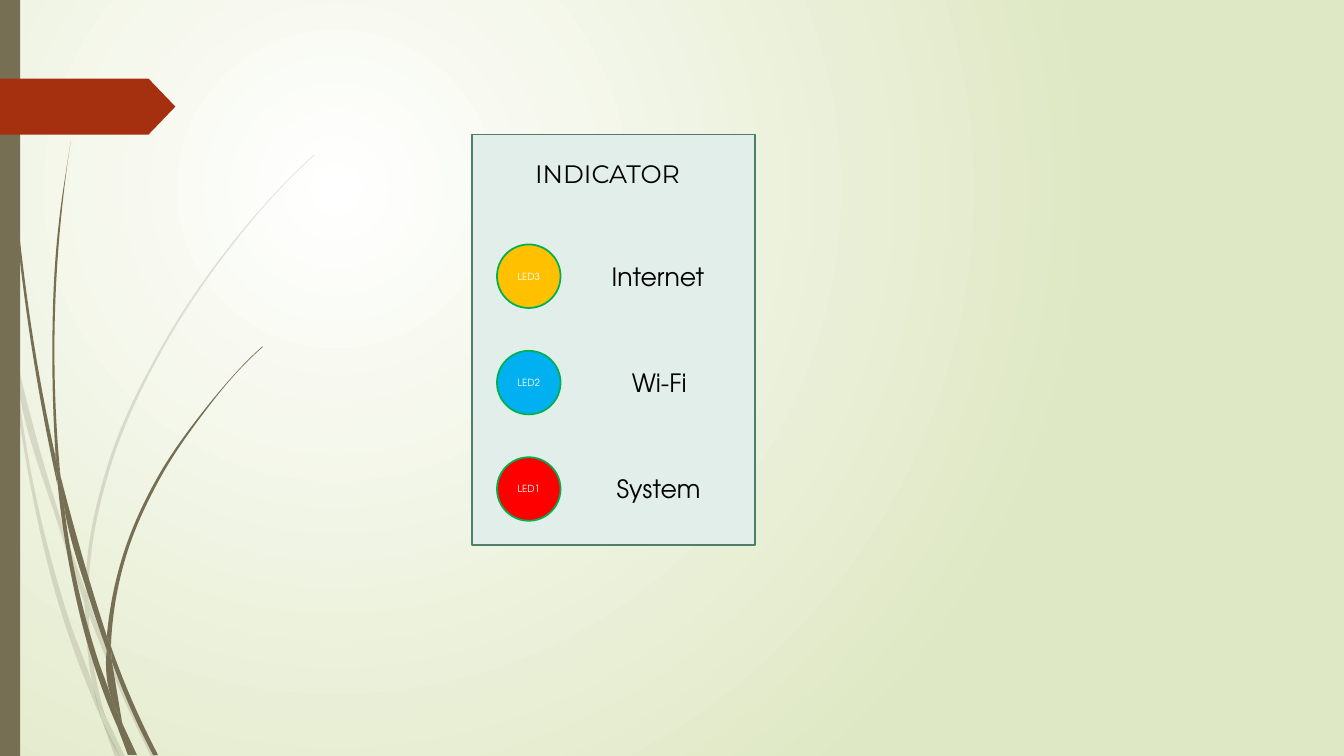
from dataclasses import dataclass
from typing import NamedTuple

from lxml import etree
from pptx import Presentation
from pptx.dml.color import RGBColor
from pptx.enum.shapes import MSO_SHAPE
from pptx.enum.text import MSO_ANCHOR, MSO_AUTO_SIZE, PP_ALIGN
from pptx.oxml.ns import qn
from pptx.util import Pt

Point = tuple[float, float]
Box = tuple[float, float, float, float]


@dataclass(frozen=True)
class Theme:
    glow: str = "FFFFFF"
    backdrop: str = "DFE8C4"
    stem: str = "766F54"
    tag: str = "A53010"
    panel: str = "E1EEE9"
    panel_edge: str = "4E7F6B"
    led_edge: str = "00B050"
    led_text: str = "FFFFFF"
    ink: str = "000000"
    title_font: str = "Montserrat"
    body_font: str = "TeX Gyre Adventor"
    label_size: float = 18
    led_size: float = 7
    edge: float = 1.25


class Blade(NamedTuple):
    """Piece of grass: one edge outward, the other edge back, in points."""
    out: list[Point]
    back: list[Point]


class Indicator(NamedTuple):
    led: str
    color: str
    label: str
    label_width: float


THEME = Theme()
INDICATORS = [
    Indicator("LED3", "FFC000", "Internet", 82.8),
    Indicator("LED2", "00B0F0", "Wi-Fi", 54),
    Indicator("LED1", "FF0000", "System", 75.6),
]
LED_LEFT, LED_TOP, LED_SIZE, LED_PITCH = 355, 174.6, 45.4, 76
LABEL_CENTER, LABEL_HEIGHT = 471.2, 28.8

PALE_GRASS = [
    Blade([(7.9, 252), (6.5, 231.8), (0, 203)], [(0, 215.3), (7.9, 252)]),
    Blade([(10.1, 248.4), (12.2, 270.7), (41.8, 375.8), (60.5, 431.3)],
          [(61.2, 421.9), (44.6, 374.4), (10.1, 248.4)]),
    Blade([(63.4, 429.1), (91.4, 498.2), (111.6, 540.7)],
          [(108, 540.7), (88.6, 499.7), (63.4, 439.2)]),
    Blade([(75.6, 511.9), (85.7, 540.7)], [(89.3, 540.7)]),
    Blade([(7.9, 252), (20.2, 338.4), (46.8, 447.1), (66.2, 499), (72.7, 514.1)],
          [(71.3, 509), (67, 491.8), (50.4, 445.7), (22.3, 337.7), (12.2, 270.7)]),
    Blade([(60.5, 431.3), (62.6, 465.1), (67, 491.8), (69.1, 498.2), (75.6, 511.9)],
          [(74.2, 508.3), (65.5, 465.1), (63.4, 439.2)]),
    Blade([(63.4, 429.1), (63.4, 420.5), (79.2, 332.6), (115.2, 251.3), (164.9, 176.4),
           (193, 142.6), (208.8, 126), (224.6, 110.9)],
          [(224.6, 110.2), (208.1, 126), (193, 141.8), (164.2, 175.7),
           (113.8, 250.6), (77, 331.9), (61.2, 420.5), (61.2, 421.9)]),
    Blade([(72.7, 514.1), (82.1, 540.7)], [(85.7, 540.7)]),
    Blade([(63.4, 439.2), (63.4, 429.1)], [(61.2, 421.9), (60.5, 431.3)]),
    Blade([(67, 491.8), (72.7, 514.1), (85.7, 540.7)],
          [(75.6, 511.9), (69.1, 498.2)]),
]
DARK_GRASS = [
    Blade([(2.2, 0), (2.9, 34.6), (5, 79.2), (12.2, 167.8), (23.8, 255.6), (41, 346.3)],
          [(39.6, 326.2), (25.9, 255.6), (13.7, 167), (5.8, 78.5), (3.6, 34.6), (2.9, 0)]),
    Blade([(43.2, 339.8), (46.1, 363.6), (63.4, 426.2), (76.3, 464.4)],
          [(76.3, 454.3), (67, 424.8), (43.2, 339.8)]),
    Blade([(79.2, 461.5), (97.9, 508.3), (113, 539.3)],
          [(109.4, 539.3), (95, 509.8), (79.9, 472.3)]),
    Blade([(41, 343.4), (49, 401), (67, 474.5), (79.9, 509.8), (84.2, 519.8)],
          [(83.5, 516.2), (79.2, 497.5), (70.6, 473), (51.8, 400.3), (46.1, 363.6)]),
    Blade([(43.2, 339.8), (38.9, 251.3), (41.8, 176.4), (45.4, 139), (50.4, 101.5)],
          [(44.6, 139), (40.3, 176.4), (37.4, 251.3), (39.6, 323.3)]),
    Blade([(87.8, 517.7), (95.8, 539.3)], [(97.9, 539.3)]),
    Blade([(39.6, 323.3), (41, 343.4), (46.1, 363.6)], [(43.2, 339.8)]),
    Blade([(79.2, 461.5), (90, 397.4), (113.8, 342.7), (147.6, 292.3),
           (166.3, 269.3), (176.4, 258.5), (187.9, 247.7)],
          [(187.2, 247.7), (176.4, 257.8), (166.3, 268.6), (146.9, 291.6),
           (112.3, 341.3), (87.8, 396.7), (76.3, 454.3)]),
    Blade([(84.2, 519.8), (91.4, 539.3)], [(94.3, 539.3)]),
    Blade([(76.3, 464.4), (79.2, 497.5), (83.5, 508.3), (87.8, 517.7)],
          [(87.1, 515.5), (79.9, 472.3)]),
    Blade([(76.3, 464.4), (79.9, 472.3)], [(79.2, 461.5), (76.3, 454.3)]),
    Blade([(79.2, 497.5), (84.2, 519.8), (93.6, 539.3)],
          [(95.8, 539.3), (87.8, 517.7), (83.5, 508.3)]),
]


def bend(lines: list, knots: list[complex]) -> None:
    """Turn the lines between the knots into one smooth run of curves."""
    if len(knots) < 3:
        return
    chords = [b - a for a, b in zip(knots, knots[1:])]
    units = [chord / abs(chord) for chord in chords]
    inner = [u * abs(d) + v * abs(c) for c, d, u, v in zip(chords, chords[1:], units, units[1:])]
    inner = [tangent / abs(tangent) for tangent in inner]
    tangents = [2 * units[0] - inner[0], *inner, 2 * units[-1] - inner[-1]]
    for i, (line, chord) in enumerate(zip(lines, chords)):
        reach = abs(chord) / 3
        curve = etree.Element(qn("a:cubicBezTo"))
        for p in (knots[i] + tangents[i] * reach, knots[i + 1] - tangents[i + 1] * reach,
                  knots[i + 1]):
            etree.SubElement(curve, qn("a:pt"), x=str(round(p.real)), y=str(round(p.imag)))
        line.getparent().replace(line, curve)


def paint(shape, fill: str, edge: str | None = None) -> None:
    shape.shadow.inherit = False
    shape.fill.solid()
    shape.fill.fore_color.rgb = RGBColor.from_string(fill)
    if edge:
        shape.line.color.rgb = RGBColor.from_string(edge)
        shape.line.width = Pt(THEME.edge)
    else:
        shape.line.fill.background()


def add_preset(slide, kind: MSO_SHAPE, box: Box, fill: str, edge: str | None = None):
    shape = slide.shapes.add_shape(kind, *map(Pt, box))
    paint(shape, fill, edge)
    return shape


def add_grass(slide, blades: list[Blade], opacity: int | None = None) -> None:
    group = slide.shapes.add_group_shape()
    for blade in blades:
        outline = [(Pt(x), Pt(y)) for x, y in blade.out + blade.back]
        builder = group.shapes.build_freeform(*outline[0])
        builder.add_line_segments(outline[1:], close=True)
        shape = builder.convert_to_shape()
        paint(shape, THEME.stem)
        knots = [complex(int(p.get("x")), int(p.get("y"))) for p in shape.element.iter(qn("a:pt"))]
        lines, turn = list(shape.element.iter(qn("a:lnTo"))), len(blade.out)
        bend(lines[:turn - 1], knots[:turn])
        bend(lines[turn:], knots[turn:len(outline)])
        if opacity is not None:
            color = shape.element.spPr.find(qn("a:solidFill"))[0]
            etree.SubElement(color, qn("a:alpha"), val=str(opacity * 1000))


def write(shape, text: str, font: str, size: float, color: str,
          align: PP_ALIGN, anchor: MSO_ANCHOR) -> None:
    frame = shape.text_frame
    frame.text = text
    frame.word_wrap = False
    frame.vertical_anchor = anchor
    paragraph = frame.paragraphs[0]
    paragraph.alignment = align
    style = paragraph.runs[0].font
    style.name, style.size = font, Pt(size)
    style.color.rgb = RGBColor.from_string(color)


def set_background(slide) -> None:
    fill = slide.background.fill
    fill.gradient()
    for stop, position, color in zip(fill.gradient_stops, (0, 1), (THEME.glow, THEME.backdrop)):
        stop.position = position
        stop.color.rgb = RGBColor.from_string(color)
    linear = next(slide.element.iter(qn("a:lin")))
    path = etree.Element(qn("a:path"), path="circle")
    etree.SubElement(path, qn("a:fillToRect"), l="50000", t="50000", r="100000", b="100000")
    linear.getparent().replace(linear, path)


def add_indicator(slide, item: Indicator, top: float) -> None:
    led = add_preset(slide, MSO_SHAPE.OVAL, (LED_LEFT, top, LED_SIZE, LED_SIZE),
                     item.color, THEME.led_edge)
    write(led, item.led, THEME.body_font, THEME.led_size, THEME.led_text,
          PP_ALIGN.CENTER, MSO_ANCHOR.MIDDLE)
    box = (LABEL_CENTER - item.label_width / 2, top + (LED_SIZE - LABEL_HEIGHT) / 2,
           item.label_width, LABEL_HEIGHT)
    label = slide.shapes.add_textbox(*map(Pt, box))
    write(label, item.label, THEME.body_font, THEME.label_size, THEME.ink,
          PP_ALIGN.LEFT, MSO_ANCHOR.TOP)


prs = Presentation()
prs.slide_width, prs.slide_height = Pt(960), Pt(540)
slide = prs.slides.add_slide(prs.slide_layouts.get_by_name("Title Only"))
set_background(slide)
# Grass, side bar and tag
add_grass(slide, PALE_GRASS, opacity=20)
add_grass(slide, DARK_GRASS)
add_preset(slide, MSO_SHAPE.RECTANGLE, (0, 0, 14.4, 540), THEME.stem)
tag = add_preset(slide, MSO_SHAPE.PENTAGON, (0, 56.2, 125.3, 39.9), THEME.tag)
tag.adjustments[0] = 0.48
# Panel with its title in front
add_preset(slide, MSO_SHAPE.RECTANGLE, (337.3, 96, 202, 293.5), THEME.panel, THEME.panel_edge)
title = slide.shapes.title
title.left, title.top, title.width, title.height = map(Pt, (375, 109.4, 126.7, 51))
write(title, "INDICATOR", THEME.title_font, THEME.label_size, THEME.ink,
      PP_ALIGN.LEFT, MSO_ANCHOR.TOP)
title.text_frame.auto_size = MSO_AUTO_SIZE.NONE
slide.shapes.element.append(title.element)
# Indicator rows
for row, item in enumerate(INDICATORS):
    add_indicator(slide, item, LED_TOP + row * LED_PITCH)
prs.save("out.pptx")
